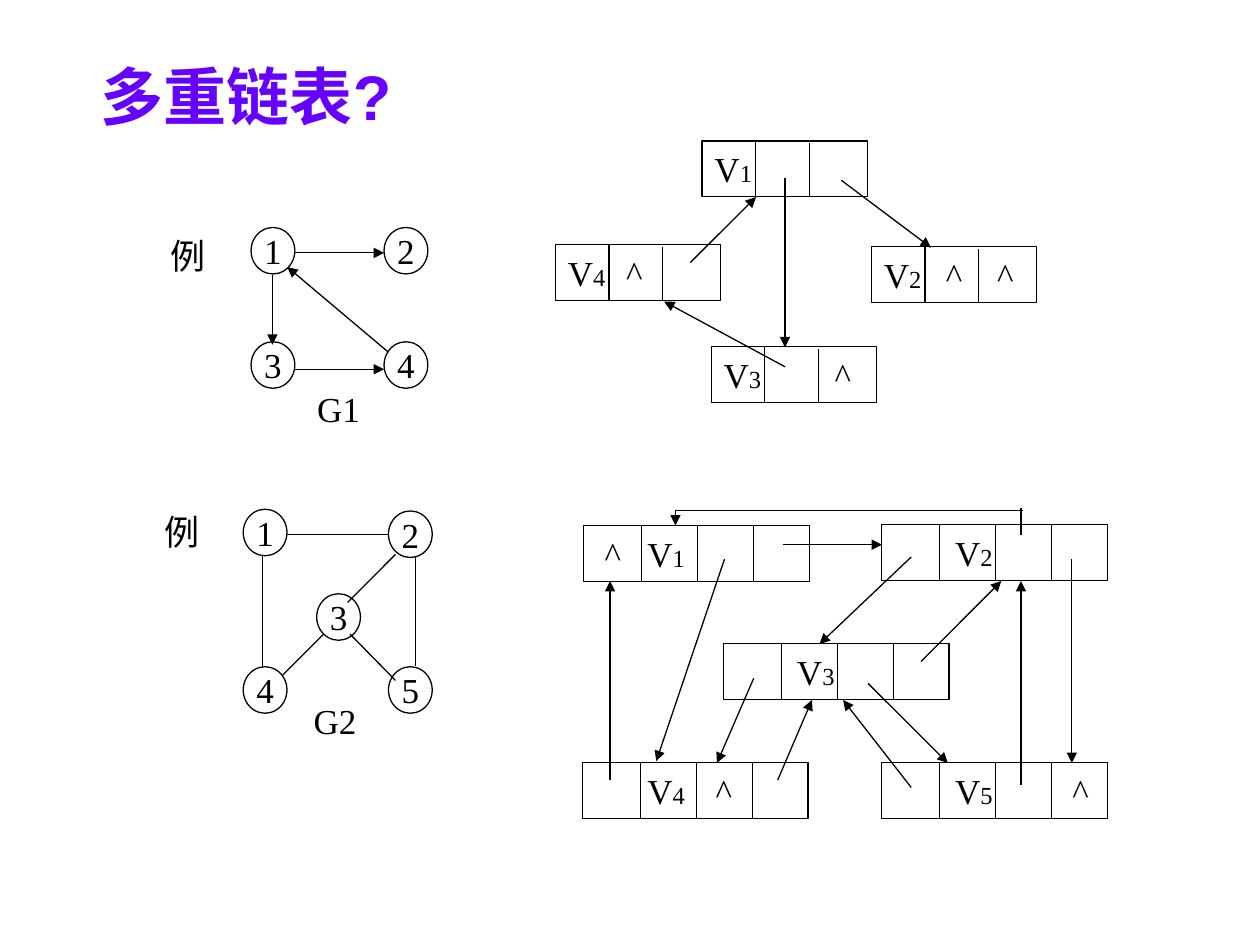
from dataclasses import dataclass

import pptx
import pptx.dml.color
import pptx.enum.shapes
import pptx.enum.text
import pptx.oxml.ns
import pptx.util
from lxml import etree
from pptx.util import Pt

INK = pptx.dml.color.RGBColor(0x00, 0x00, 0x00)
VIOLET = pptx.dml.color.RGBColor(0x66, 0x00, 0xFF)

VERTEX_WIDTH, VERTEX_HEIGHT = 25, 26.6
RECORD_HEIGHT = 32
TEXT_INSET = 7.2
LINE_WIDTH = 0.75

TITLE_FORMAT = {"name": "Arial", "size": Pt(36), "bold": True}
LABEL_FORMAT = {"name": "Times New Roman", "size": Pt(20)}
INDEX_FORMAT = {"name": "Times New Roman", "size": Pt(14)}


@dataclass
class Caption:
    text: str
    left: float
    top: float
    width: float


@dataclass
class Vertex:
    number: int
    left: float
    top: float


@dataclass
class Edge:
    x1: float
    y1: float
    x2: float
    y2: float
    arrow: bool = True


@dataclass
class RecordLayout:
    width: float
    dividers: tuple[float, ...]
    second_divider_drop: float = 0


@dataclass
class Record:
    layout: RecordLayout
    left: float
    top: float
    number: int
    name_at: float = 0
    nulls_before: tuple[float, ...] = ()
    nulls_after: tuple[float, ...] = ()


DIRECTED = RecordLayout(94.5, (30.6, 61.2), 1.5)
UNDIRECTED = RecordLayout(129, (33.1, 65.1, 97.1))

CAPTIONS = [
    Caption("例", 90, 130.5, 34.6),
    Caption("G1", 174, 217.5, 39),
    Caption("例", 86.5, 288, 34.6),
    Caption("G2", 172, 396, 39),
]

VERTICES = [
    Vertex(1, 143.5, 130), Vertex(2, 219.5, 130),
    Vertex(3, 143.5, 195.3), Vertex(4, 219.5, 195.3),
    Vertex(1, 139, 291), Vertex(2, 222, 292),
    Vertex(3, 181, 339.3),
    Vertex(4, 139, 381), Vertex(5, 222, 381),
]

GRAPH_EDGES = [
    Edge(168.5, 144.5, 219.5, 144.5),
    Edge(168.5, 211, 219.5, 211),
    Edge(155.7, 157, 155.7, 197),
    Edge(222, 201.3, 164.2, 152.6),
    Edge(164, 305.3, 222, 305.3, False),
    Edge(150, 318, 150, 380.5, False),
    Edge(237.5, 318, 237.5, 380.5, False),
    Edge(200, 362.3, 226, 388.8, False),
    Edge(226, 316.8, 198.6, 344.3, False),
    Edge(185, 362.3, 161.3, 386, False),
]

RECORDS = [
    Record(DIRECTED, 401.2, 80.5, 1),
    Record(DIRECTED, 498, 141, 2, nulls_after=(35.4, 64.8)),
    Record(DIRECTED, 317.4, 139.6, 4, nulls_after=(33.4,)),
    Record(DIRECTED, 406.4, 198, 3, nulls_after=(63.4,)),
    Record(UNDIRECTED, 333.4, 300.3, 1, 29.4, nulls_before=(5,)),
    Record(UNDIRECTED, 503.7, 299.7, 2, 35),
    Record(UNDIRECTED, 332.8, 435.7, 4, 30, nulls_after=(69,)),
    Record(UNDIRECTED, 503.7, 435.7, 5, 35, nulls_after=(102,)),
    Record(UNDIRECTED, 413.3, 367.6, 3, 35),
]

POINTERS = [
    Edge(480.7, 103, 532, 141.5),
    Edge(394.5, 150, 432, 112.6),
    Edge(448.6, 101.5, 448.6, 198.5),
    Edge(448.6, 209.6, 379.5, 172.3),
    Edge(414, 319.5, 375, 435),
    Edge(447.3, 311.3, 504, 311.3),
    Edge(583.4, 305.6, 583.4, 290.3, False),
    Edge(584.6, 291.7, 386, 291.7, False),
    Edge(386, 291.7, 386, 300.3),
    Edge(520.7, 318.3, 468.3, 368),
    Edge(612.5, 319.5, 612.5, 436),
    Edge(526.3, 378, 572.2, 332),
    Edge(496, 390.5, 541.6, 436),
    Edge(430.7, 387.6, 409.7, 436),
    Edge(348.6, 445.8, 348.6, 332),
    Edge(444.4, 445.8, 464, 400),
    Edge(583.4, 448.6, 583.4, 332),
    Edge(520.7, 450, 481.8, 400),
]


def apply_format(font: pptx.text.text.Font, values: dict, colour: pptx.dml.color.RGBColor) -> None:
    for attribute, value in values.items():
        setattr(font, attribute, value)
    font.color.rgb = colour


def add_run(paragraph, text: str, values: dict) -> None:
    run = paragraph.add_run()
    run.text = text
    apply_format(run.font, values, INK)


def draw_caption(slide, caption: Caption) -> None:
    frame = slide.shapes.add_textbox(
        Pt(caption.left), Pt(caption.top), Pt(caption.width), Pt(31.5)).text_frame
    frame.word_wrap = False
    frame.vertical_anchor = pptx.enum.text.MSO_ANCHOR.MIDDLE
    frame.paragraphs[0].alignment = pptx.enum.text.PP_ALIGN.CENTER
    add_run(frame.paragraphs[0], caption.text, LABEL_FORMAT)


def add_outline(slide, preset, left: float, top: float, width: float, height: float):
    outline = slide.shapes.add_shape(preset, Pt(left), Pt(top), Pt(width), Pt(height))
    outline.shadow.inherit = False
    outline.fill.background()
    outline.line.color.rgb = INK
    outline.line.width = Pt(LINE_WIDTH)
    outline.text_frame.vertical_anchor = pptx.enum.text.MSO_ANCHOR.MIDDLE
    return outline


def draw_vertex(slide, vertex: Vertex) -> None:
    circle = add_outline(slide, pptx.enum.shapes.MSO_SHAPE.OVAL,
                         vertex.left, vertex.top, VERTEX_WIDTH, VERTEX_HEIGHT)
    circle.text_frame.word_wrap = False
    paragraph = circle.text_frame.paragraphs[0]
    paragraph.alignment = pptx.enum.text.PP_ALIGN.CENTER
    add_run(paragraph, str(vertex.number), LABEL_FORMAT)


def draw_edge(slide, edge: Edge) -> None:
    connector = slide.shapes.add_connector(
        pptx.enum.shapes.MSO_CONNECTOR.STRAIGHT,
        Pt(edge.x1), Pt(edge.y1), Pt(edge.x2), Pt(edge.y2))
    connector.line.color.rgb = INK
    connector.line.width = Pt(LINE_WIDTH)
    properties = connector.element.spPr
    if edge.arrow:
        outline = properties.find(pptx.oxml.ns.qn("a:ln"))
        etree.SubElement(outline, pptx.oxml.ns.qn("a:tailEnd"), type="triangle")
    etree.SubElement(properties, pptx.oxml.ns.qn("a:effectLst"))


def add_tab_stops(paragraph, positions: list[float]) -> None:
    tab_list = etree.SubElement(paragraph._p.get_or_add_pPr(), pptx.oxml.ns.qn("a:tabLst"))
    for position in positions:
        etree.SubElement(tab_list, pptx.oxml.ns.qn("a:tab"), pos=str(int(Pt(position))), algn="l")


def draw_record(slide, record: Record) -> None:
    layout = record.layout
    box = add_outline(slide, pptx.enum.shapes.MSO_SHAPE.RECTANGLE,
                      record.left, record.top, layout.width, RECORD_HEIGHT)
    frame = box.text_frame
    frame.word_wrap = True
    frame.margin_left = frame.margin_right = Pt(TEXT_INSET)
    paragraph = frame.paragraphs[0]
    paragraph.alignment = pptx.enum.text.PP_ALIGN.LEFT
    stops = [*record.nulls_before, record.name_at, *record.nulls_after]
    add_tab_stops(paragraph, [stop for stop in stops if stop])
    prefix = "\t^" * len(record.nulls_before) + ("\t" if record.name_at else "")
    add_run(paragraph, prefix + "V", LABEL_FORMAT)
    add_run(paragraph, str(record.number), INDEX_FORMAT)
    if record.nulls_after:
        add_run(paragraph, "\t^" * len(record.nulls_after), LABEL_FORMAT)
    for position, offset in enumerate(layout.dividers):
        x = record.left + offset
        drop = layout.second_divider_drop if position == 1 else 0
        draw_edge(slide, Edge(x, record.top + drop, x, record.top + RECORD_HEIGHT, False))


def draw_title(slide, text: str) -> None:
    title = slide.shapes.title
    title.left, title.top, title.width, title.height = Pt(50.4), Pt(29.5), Pt(669.6), Pt(80)
    frame = title.text_frame
    frame.text = text
    frame.auto_size = pptx.enum.text.MSO_AUTO_SIZE.NONE
    frame.vertical_anchor = pptx.enum.text.MSO_ANCHOR.TOP
    frame.paragraphs[0].alignment = pptx.enum.text.PP_ALIGN.LEFT
    apply_format(frame.paragraphs[0].runs[0].font, TITLE_FORMAT, VIOLET)


def main() -> None:
    deck = pptx.Presentation()
    deck.slide_width, deck.slide_height = Pt(720), Pt(540)
    slide = deck.slides.add_slide(deck.slide_layouts[5])
    draw_title(slide, "多重链表?")
    for draw, items in ((draw_caption, CAPTIONS), (draw_vertex, VERTICES),
                        (draw_edge, GRAPH_EDGES), (draw_record, RECORDS),
                        (draw_edge, POINTERS)):
        for item in items:
            draw(slide, item)
    deck.save("out.pptx")


if __name__ == "__main__":
    main()
